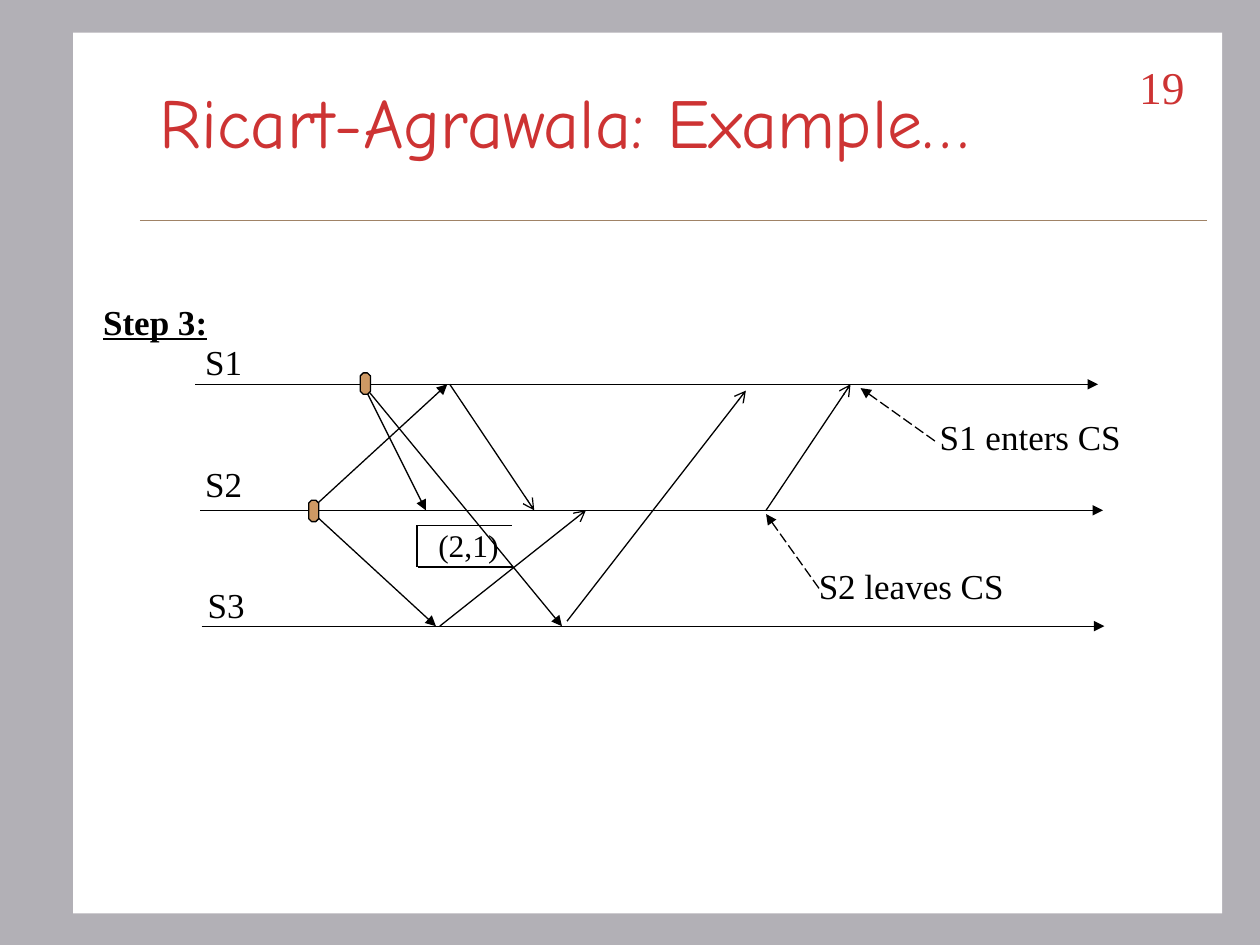
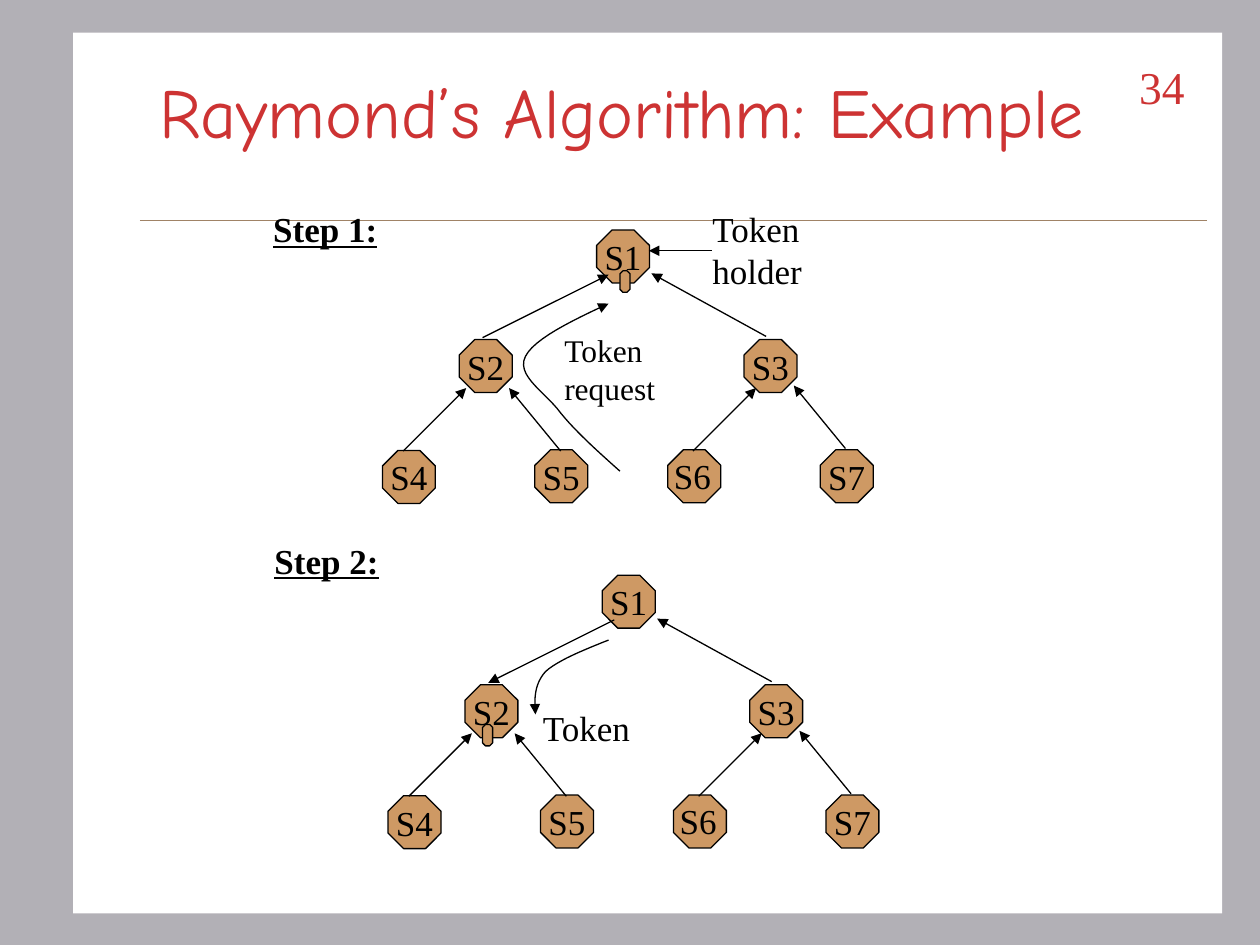
from dataclasses import dataclass

from lxml import etree
from pptx import Presentation
from pptx.dml.color import RGBColor
from pptx.enum.dml import MSO_LINE
from pptx.enum.shapes import MSO_CONNECTOR, MSO_SHAPE
from pptx.enum.text import MSO_ANCHOR, MSO_AUTO_SIZE, PP_ALIGN
from pptx.oxml.ns import qn
from pptx.util import Inches, Pt

STRAIGHT = MSO_CONNECTOR.STRAIGHT
RECTANGLE, OCTAGON = MSO_SHAPE.RECTANGLE, MSO_SHAPE.OCTAGON
LONG_DASH = MSO_LINE.LONG_DASH
TOP, MIDDLE = MSO_ANCHOR.TOP, MSO_ANCHOR.MIDDLE
LEFT, CENTER, RIGHT = PP_ALIGN.LEFT, PP_ALIGN.CENTER, PP_ALIGN.RIGHT
FIT_SHAPE = MSO_AUTO_SIZE.SHAPE_TO_FIT_TEXT

BACKDROP, PAPER, RULE = "B2B0B6", "FFFFFF", "A08366"
ACCENT, INK, TAN = "CD3333", "000000", "CE9964"
TITLE_FONT, BODY_FONT = "Comic Neue", "Times New Roman"

# Every position is in columns and rows of this grid
COLUMNS, ROWS = 100, 75
WIDTH, HEIGHT = Inches(10), Inches(7.5)
NODE_SIZE = 4.2
TOKEN_WIDTH, TOKEN_HEIGHT = 0.8, 1.7
SITE_SIZE, STEP_SIZE = (5.2, 4.4), (10.6, 4.4)
CURVE_STEPS = 12

Point = tuple[float, float]


@dataclass(frozen=True)
class Label:
    text: str
    at: Point
    size: Point
    points: float = 20
    heading: bool = False


@dataclass(frozen=True)
class Arrow:
    start: Point
    end: Point
    tip: str = "triangle"
    dashed: bool = False


@dataclass(frozen=True)
class Lane:
    site: str
    start: Point
    label_at: Point


# Ricart-Agrawala: one time line per site
LANE_LENGTH = 71.65
S1_ROW, S2_ROW, S3_ROW = 30.5, 40.5, 49.7
LANES = [
    Lane("S1", (15.5, S1_ROW), (15.3, 26.5)),
    Lane("S2", (15.9, S2_ROW), (15.3, 36.2)),
    Lane("S3", (16, S3_ROW), (15.5, 45.8)),
]
S1_REQUEST, S2_REQUEST = (28.8, S1_ROW), (24.6, S2_ROW)
REQUESTS = [
    Arrow(S1_REQUEST, (33.8, S2_ROW)),
    Arrow(S1_REQUEST, (44.6, S3_ROW)),
    Arrow(S2_REQUEST, (35.5, S1_ROW)),
    Arrow(S2_REQUEST, (34.6, S3_ROW)),
]
TIMESTAMP_BRACKET = [
    Arrow((40.6, 41.7), (33.1, 41.7), ""),
    Arrow((33.1, 41.7), (33.1, 45), ""),
    Arrow((40.7, 45), (33.2, 45), ""),
]
REPLIES = [
    Arrow((35.7, S1_ROW), (42.4, S2_ROW), "arrow"),
    Arrow((34.9, S3_ROW), (46.5, S2_ROW), "arrow"),
    Arrow((45, 49.3), (59.2, 31), "arrow"),
    Arrow((60.8, S2_ROW), (67.5, S1_ROW), "arrow"),
]
CALLOUTS = [
    Arrow((74.2, 35), (68.3, 30.8), dashed=True),
    Arrow((65, 46.7), (60.8, 40.8), dashed=True),
]
REQUEST_MARKS = [(28.6, 29.6), (24.5, 39.7)]
TIMELINE_LABELS = [
    Label("(2,1)", (33.8, 41.25), (6.8, 4), 18),
    Label("Step 3:", (7.2, 23.35), STEP_SIZE, heading=True),
    Label("S1 enters CS", (73.6, 32.5), (16.5, 4.4)),
    Label("S2 leaves CS", (64, 44.3), (16.7, 4.4)),
]

# Raymond: the same tree twice, the second one moved by TREE_SHIFT
TREE_SHIFT = (0.45, 27.4)
NODES = {
    "S1": (47.35, 18.25),
    "S2": (36.45, 26.95), "S3": (59.05, 26.95),
    "S4": (30.35, 35.75), "S5": (42.45, 35.7), "S6": (53, 35.7), "S7": (65.1, 35.7),
}
OFFSET_LABEL = "S6"
S2_TO_S1 = Arrow((38.3, 26.8), (48.3, 21.8))
EDGES = [
    Arrow((60.8, 26.7), (51.7, 21.7)),
    Arrow((32, 35.8), (37, 30.8)),
    Arrow((44.5, 35.8), (40.4, 30.8)),
    Arrow((55, 35.8), (60, 30.8)),
    Arrow((67.1, 35.6), (63, 30.6)),
]
HOLDER_POINTER = Arrow((56.5, 19.9), (51.5, 19.9))
TOKENS = [(49.2, 21.5), (38.3, 57.5)]
# Each path is a start followed by groups of two handles and an end
REQUEST_PATH = [
    (49.2, 37.4), (47.3, 35.7), (45.4, 34), (44.2, 32.4), (42.9, 30.9),
    (41, 29.7), (41.7, 28.3), (42.4, 26.9), (45.3, 25.5), (48.3, 24.1),
]
TOKEN_PATH = [
    (48.3, 50.8), (46.3, 51.6), (44.3, 52.4), (43.3, 53.3),
    (42.4, 54.3), (42.4, 55.5), (42.5, 56.7),
]
TREE_LABELS = [
    Label("Token\nholder", (55.55, 15.95), (9.1, 7.7)),
    Label("Token\nrequest", (43.8, 25.8), (9.2, 7), 18),
    Label("Token", (42.1, 55.55), (9.1, 4.4)),
    Label("Step 1:", (20.7, 16), STEP_SIZE, heading=True),
    Label("Step 2:", (20.8, 42.3), STEP_SIZE, heading=True),
]


def col(count: float) -> int:
    return round(WIDTH * count / COLUMNS)


def row(count: float) -> int:
    return round(HEIGHT * count / ROWS)


def box(at: Point, size: Point) -> tuple[int, int, int, int]:
    return col(at[0]), row(at[1]), col(size[0]), row(size[1])


def shifted(point: Point, shift: Point) -> Point:
    return point[0] + shift[0], point[1] + shift[1]


def rgb(value: str) -> RGBColor:
    return RGBColor.from_string(value)


def write(shape, text: str, points: float, color: str = INK, font: str = BODY_FONT,
          align=LEFT, anchor=TOP, wrap: bool = False, heading: bool = False) -> None:
    frame = shape.text_frame
    frame.text = text
    frame.word_wrap = wrap
    frame.vertical_anchor = anchor
    for paragraph in frame.paragraphs:
        paragraph.alignment = align
        for run in paragraph.runs:
            run.font.name, run.font.size = font, Pt(points)
            run.font.color.rgb = rgb(color)
            run.font.bold = run.font.underline = heading


def draw_label(slide, label: Label) -> None:
    text_box = slide.shapes.add_textbox(*box(label.at, label.size))
    write(text_box, label.text, label.points, heading=label.heading)
    text_box.text_frame.auto_size = FIT_SHAPE


def draw_octagon(slide, at: Point, size: Point):
    octagon = slide.shapes.add_shape(OCTAGON, *box(at, size))
    octagon.shadow.inherit = False
    octagon.fill.solid()
    octagon.fill.fore_color.rgb = rgb(TAN)
    ink_line(octagon)
    return octagon


def draw_token(slide, at: Point) -> None:
    draw_octagon(slide, at, (TOKEN_WIDTH, TOKEN_HEIGHT))


def ink_line(shape, color: str = INK, weight: float = 0.75) -> None:
    shape.line.color.rgb = rgb(color)
    shape.line.width = Pt(weight)


def add_tip(shape, tip: str) -> None:
    outline = shape._element.spPr.find(qn("a:ln"))
    etree.SubElement(outline, qn("a:tailEnd"), type=tip)


def draw_arrow(slide, arrow: Arrow, shift: Point = (0, 0),
               color: str = INK, weight: float = 0.75) -> None:
    start, end = shifted(arrow.start, shift), shifted(arrow.end, shift)
    line = slide.shapes.add_connector(
        STRAIGHT, col(start[0]), row(start[1]), col(end[0]), row(end[1]))
    ink_line(line, color, weight)
    if arrow.dashed:
        line.line.dash_style = LONG_DASH
    if arrow.tip:
        add_tip(line, arrow.tip)
    etree.SubElement(line._element.spPr, qn("a:effectLst"))


def bezier(points: list[Point], t: float) -> Point:
    """Point at share t of a curve, by repeated interpolation."""
    while len(points) > 1:
        points = [(a[0] + (b[0] - a[0]) * t, a[1] + (b[1] - a[1]) * t)
                  for a, b in zip(points, points[1:])]
    return points[0]


def draw_curve(slide, path: list[Point]) -> None:
    trace = [bezier(path[first:first + 4], step / CURVE_STEPS)
             for first in range(0, len(path) - 1, 3)
             for step in range(1, CURVE_STEPS + 1)]
    builder = slide.shapes.build_freeform(col(path[0][0]), row(path[0][1]))
    builder.add_line_segments([(col(x), row(y)) for x, y in trace], close=False)
    curve = builder.convert_to_shape()
    curve.shadow.inherit = False
    curve.fill.background()
    ink_line(curve)
    add_tip(curve, "triangle")


def start_slide(deck, title: str, number: int, title_row: float):
    """Add a slide with backdrop, paper, rule, title and page number."""
    slide = deck.slides.add_slide(deck.slide_layouts[6])
    slide.background.fill.solid()
    slide.background.fill.fore_color.rgb = rgb(BACKDROP)
    paper = slide.shapes.add_shape(RECTANGLE, *box((5.8, 2.6), (91.2, 69.9)))
    paper.shadow.inherit = False
    paper.fill.solid()
    paper.fill.fore_color.rgb = rgb(PAPER)
    paper.line.fill.background()
    draw_arrow(slide, Arrow((11.1, 17.5), (95.8, 17.5), ""), color=RULE, weight=0.25)
    heading = slide.shapes.add_textbox(*box((11.7, title_row), (85, 12.5)))
    write(heading, title, 40, ACCENT, TITLE_FONT, anchor=MIDDLE, wrap=True)
    page_number = slide.shapes.add_textbox(*box((86.7, 4.2), (8.3, 5)))
    write(page_number, str(number), 26, ACCENT, align=RIGHT, wrap=True)
    return slide


def draw_tree(slide, shift: Point, root_edge: Arrow) -> None:
    for site, at in NODES.items():
        corner = shifted(at, shift)
        node = draw_octagon(slide, corner, (NODE_SIZE, NODE_SIZE))
        if site == OFFSET_LABEL:
            draw_label(slide, Label(site, shifted(corner, (-0.5, -0.1)), SITE_SIZE))
        else:
            write(node, site, 20, align=CENTER, anchor=MIDDLE)
    for edge in [root_edge, *EDGES]:
        draw_arrow(slide, edge, shift)


def build_timeline_slide(deck) -> None:
    slide = start_slide(deck, "Ricart-Agrawala: Example…", 19, 3.3)
    for lane in LANES:
        draw_arrow(slide, Arrow(lane.start, shifted(lane.start, (LANE_LENGTH, 0))))
        draw_label(slide, Label(lane.site, lane.label_at, SITE_SIZE))
    for arrow in REQUESTS + TIMESTAMP_BRACKET + REPLIES + CALLOUTS:
        draw_arrow(slide, arrow)
    for mark in REQUEST_MARKS:
        draw_token(slide, mark)
    for label in TIMELINE_LABELS:
        draw_label(slide, label)


def build_tree_slide(deck) -> None:
    slide = start_slide(deck, "Raymond’s Algorithm: Example", 34, 2.5)
    draw_tree(slide, (0, 0), S2_TO_S1)
    draw_tree(slide, TREE_SHIFT, Arrow(S2_TO_S1.end, S2_TO_S1.start))
    draw_arrow(slide, HOLDER_POINTER)
    for token in TOKENS:
        draw_token(slide, token)
    for path in (REQUEST_PATH, TOKEN_PATH):
        draw_curve(slide, path)
    for label in TREE_LABELS:
        draw_label(slide, label)


def main() -> None:
    deck = Presentation()
    deck.slide_width, deck.slide_height = WIDTH, HEIGHT
    build_timeline_slide(deck)
    build_tree_slide(deck)
    deck.save("out.pptx")


if __name__ == "__main__":
    main()
